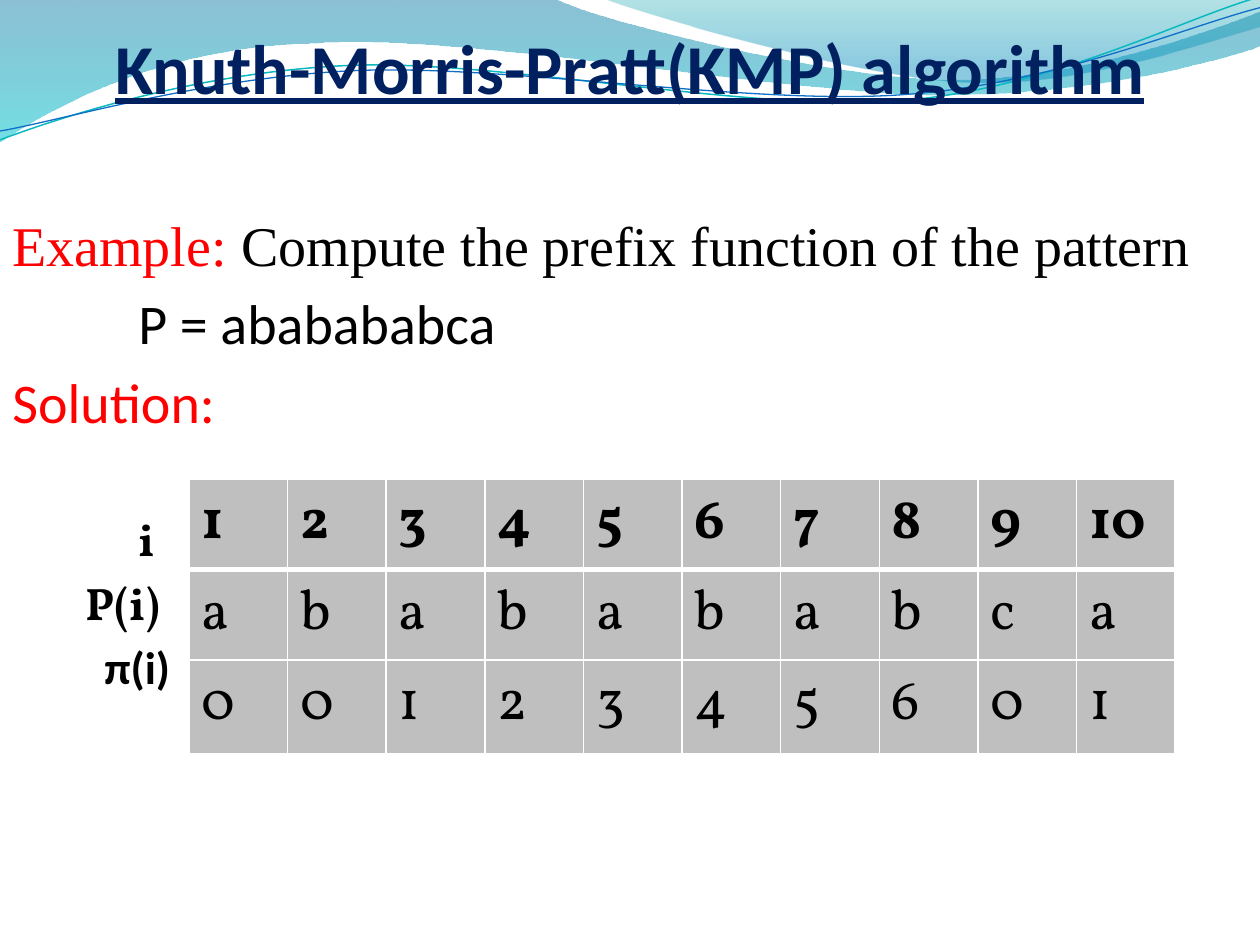
import math
import pptx
import pptx.util
import pptx.oxml
import pptx.oxml.ns
import pptx.dml.color
import pptx.enum.text
from lxml import etree

Inches = pptx.util.Inches
Pt = pptx.util.Pt
RGB = pptx.dml.color.RGBColor
qn = pptx.oxml.ns.qn
NAVY = RGB(0x00, 0x20, 0x60)
RED = RGB(0xFF, 0x00, 0x00)
BLACK = RGB(0x00, 0x00, 0x00)
GRAY = RGB(0xBF, 0xBF, 0xBF)
TEAL = RGB(0x0A, 0xB8, 0xBF)
BLUE = RGB(0x0F, 0x6F, 0xC6)
SPACE = "http://schemas.openxmlformats.org/drawingml/2006/main"

deck = pptx.Presentation()
deck.slide_width = Inches(10)
deck.slide_height = Inches(7.5)
slide = deck.slides.add_slide(deck.slide_layouts[6])


def trace(start, curves, closed, turn=0):
    angle = math.radians(-turn)
    mid = (4.99, 0.58)
    parts = []
    for curve in [start, *curves]:
        part = []
        for x, y in zip(curve[::2], curve[1::2]):
            dx, dy = x - mid[0], y - mid[1]
            part.append((
                round(1000 * (mid[0] + dx * math.cos(angle) - dy * math.sin(angle))),
                round(1000 * (mid[1] + dx * math.sin(angle) + dy * math.cos(angle)))))
        parts.append(part)
    ends = [part[-1] for part in parts]
    pen = slide.shapes.build_freeform(*ends[0], scale=Inches(1) / 1000)
    pen.add_line_segments(ends[1:], close=closed)
    shape = pen.convert_to_shape()
    shape.shadow.inherit = False
    shape.rotation = turn
    left, top = (min(end[k] for end in ends) for k in (0, 1))
    steps = list(shape._element.iter(qn("a:lnTo")))
    for step, part in zip(steps, parts[1:]):
        if len(part) == 3:
            bend = etree.Element(qn("a:cubicBezTo"))
            for x, y in part:
                etree.SubElement(bend, qn("a:pt"), x=str(x - left), y=str(y - top))
            step.getparent().replace(step, bend)
    return shape


def write(para, text, style):
    run = para.add_run()
    run.text = text
    for key, value in style.items():
        if key == "color":
            run.font.color.rgb = value
        else:
            setattr(run.font, key, value)


waves = [
    ((0, 0), [(4.4, -0.01), (4.76, 0.17, 6.64, 0.63, 7.58, 0.63),
              (8.53, 0.63, 9.58, 0.26, 10, 0.09), (10.01, 0.36),
              (9.83, 0.44, 8.7, 0.76, 7.46, 0.75),
              (6.22, 0.75, 3.82, 0.28, 2.57, 0.34),
              (1.29, 0.36, 0.46, 0.83, -0.01, 1.13)],
     [(0, "0074A1", 45), (100, "00C6CF", 55)]),
    ((4.79, -0.01), [(5.09, 0.11, 6.82, 0.62, 7.69, 0.65),
                     (8.56, 0.69, 9.61, 0.32, 10, 0.21), (10, 0)],
     [(0, "00A1A9", 30), (80, "008BBF", 45)]),
]
for start, curves, stops in waves:
    wave = trace(start, curves, True)
    wave.line.fill.background()
    wave.fill.gradient()
    old = wave._element.spPr.find(qn("a:gradFill"))
    marks = "".join(
        f'<a:gs pos="{pos * 1000}"><a:srgbClr val="{tint}">'
        f'<a:alpha val="{alpha * 1000}"/></a:srgbClr></a:gs>'
        for pos, tint, alpha in stops)
    new = pptx.oxml.parse_xml(
        f'<a:gradFill xmlns:a="{SPACE}" rotWithShape="1"><a:gsLst>{marks}</a:gsLst>'
        '<a:lin ang="5400000" scaled="0"/></a:gradFill>')
    old.getparent().replace(old, new)

lines = [
    ((0, 1.11), [(0.48, 0.93, 1.58, 0.57, 2.77, 0.52),
                 (3.95, 0.47, 5.93, 0.89, 7.13, 0.8),
                 (8.33, 0.71, 9.38, 0.15, 9.98, -0.02)], TEAL, 0.85),
    ((0, 1.04), [(0.47, 0.96, 1.64, 0.61, 2.83, 0.56),
                 (4.03, 0.51, 5.97, 0.84, 7.17, 0.75),
                 (8.36, 0.67, 9.41, 0.21, 10, 0.06)], BLUE, 0.75),
]
for start, curves, tint, width in lines:
    line = trace(start, curves, False, 357.3)
    line.fill.background()
    line.line.color.rgb = tint
    line.line.width = Pt(width)

title = slide.shapes.add_textbox(0, 0, Inches(10), Inches(1)).text_frame
frame = {"word_wrap": True, "margin_left": 0, "margin_right": 0,
         "margin_top": Inches(0.05), "margin_bottom": 0,
         "vertical_anchor": pptx.enum.text.MSO_ANCHOR.MIDDLE}
for key, value in frame.items():
    setattr(title, key, value)
title.paragraphs[0].alignment = pptx.enum.text.PP_ALIGN.CENTER
write(title.paragraphs[0], "Knuth-Morris-Pratt(KMP) algorithm",
      {"size": Pt(40), "name": "Calibri", "color": NAVY, "bold": True, "underline": True})

body = slide.shapes.add_textbox(0, Inches(1), Inches(10), Inches(6.5)).text_frame
body.word_wrap = True
body.margin_top = Inches(0.67)
roman = {"size": Pt(32), "name": "Times New Roman", "color": BLACK}
plain = {**roman, "name": "Calibri"}
label = {"size": Pt(26), "name": "Vollkorn", "color": BLACK, "bold": True}
rows = [
    (0, 0, [("Example: ", {**roman, "color": RED}),
            ("Compute the prefix function of the pattern", roman)]),
    (1, 6.4, [("P = ababababca", plain)]),
    (0, 6.4, [("Solution:", {**plain, "color": RED})]),
    (1, 44, [("i", label)]),
    (0.58, 5.2, [("P(i)", label)]),
    (0.73, 5.2, [("π(i)", {**label, "name": "Calibri"})]),
]
for index, (indent, gap, runs) in enumerate(rows):
    para = body.add_paragraph() if index else body.paragraphs[0]
    para.space_before = Pt(gap)
    para._p.get_or_add_pPr().set("marL", str(Inches(indent)))
    for text, style in runs:
        write(para, text, style)

data = [[str(n) for n in range(1, 11)], list("ababababca"), list("0012345601")]
table = slide.shapes.add_table(
    3, 10, Inches(1.5), Inches(3.8), Inches(7.83), Inches(2.18)).table
for column in table.columns:
    column.width = Inches(7.83) // 10
for r, (height, values) in enumerate(zip((0.72, 0.72, 0.74), data)):
    table.rows[r].height = Inches(height)
    for c, value in enumerate(values):
        cell = table.cell(r, c)
        write(cell.text_frame.paragraphs[0], value,
              {"size": Pt(32), "name": "Vollkorn", "color": BLACK, "bold": r == 0})
        cell.fill.solid()
        cell.fill.fore_color.rgb = GRAY
        props = cell._tc.get_or_add_tcPr()
        for spot, side in enumerate("LRTB"):
            thick = 3 if (r, side) in ((0, "B"), (1, "T")) else 1
            edge = etree.fromstring(
                f'<a:ln{side} xmlns:a="{SPACE}" w="{Pt(thick)}"><a:solidFill>'
                f'<a:srgbClr val="FFFFFF"/></a:solidFill></a:ln{side}>')
            props.insert(spot, edge)

deck.save("out.pptx")
